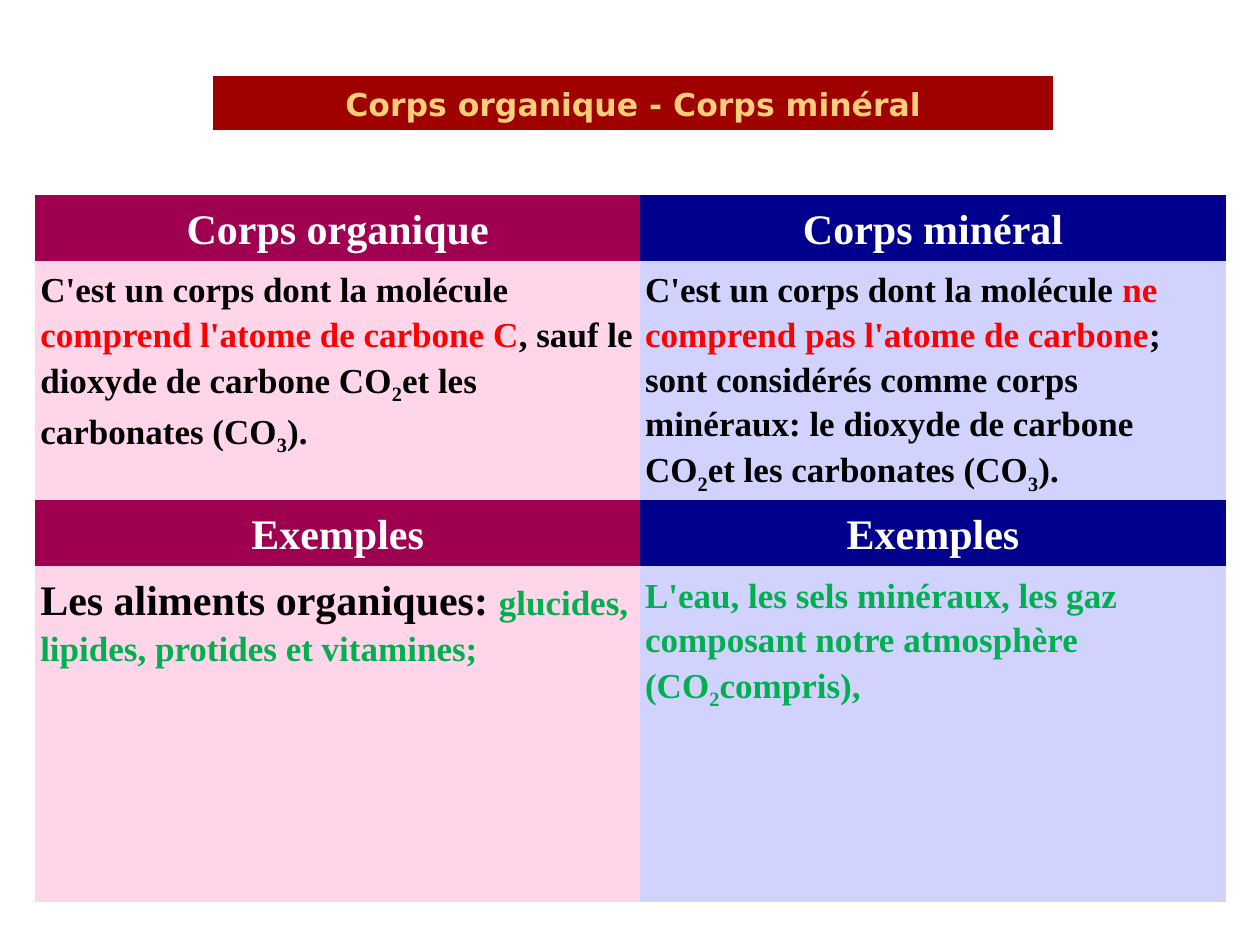
from dataclasses import dataclass

from pptx import Presentation
from pptx.dml.color import RGBColor
from pptx.enum.text import MSO_ANCHOR, PP_ALIGN
from pptx.oxml.ns import qn
from pptx.slide import Slide
from pptx.util import Inches, Pt


@dataclass(frozen=True)
class Theme:
    title_font: str = "DejaVu Sans"
    body_font: str = "Times New Roman"
    title_size: int = 18
    heading_size: int = 24
    body_size: int = 20
    line_spacing: float = 1.15
    title_fill: str = "9F0000"
    title_text: str = "FBCE7B"
    organic_dark: str = "9F0050"
    organic_light: str = "FFD5EA"
    mineral_dark: str = "00008C"
    mineral_light: str = "D2D2FF"
    white: str = "FFFFFF"
    black: str = "000000"
    red: str = "FF0000"
    green: str = "00B050"


THEME = Theme()
NO_STYLE_NO_GRID = "{2D5ABB26-0587-4C30-8999-92F81FD0307C}"


@dataclass(frozen=True)
class Span:
    text: str
    color: str = THEME.black
    size: int = THEME.body_size
    font: str = THEME.body_font
    subscript: bool = False


@dataclass(frozen=True)
class CellContent:
    spans: list[Span]
    fill: str
    centered: bool = False
    anchor: MSO_ANCHOR = MSO_ANCHOR.TOP
    margin: float = 0.04


def heading(text: str, fill: str) -> CellContent:
    return CellContent([Span(text, THEME.white, THEME.heading_size)], fill, centered=True)


def formula(before: str, digit: str, after: str, color: str = THEME.black) -> list[Span]:
    """Spans around one subscript digit."""
    return [Span(before, color), Span(digit, color, subscript=True), Span(after, color)]


def definition(start: str, highlight: str, rest: str, fill: str) -> CellContent:
    """Definition with a red phrase, ending with the two carbon exceptions."""
    spans = [Span(start), Span(highlight, THEME.red)]
    spans += formula(rest + "dioxyde de carbone CO", "2", "et les carbonates (CO")
    spans += [Span("3", subscript=True), Span(").")]
    return CellContent(spans, fill)


def fill_cell(cell, content: CellContent) -> None:
    cell.fill.solid()
    cell.fill.fore_color.rgb = RGBColor.from_string(content.fill)
    cell.vertical_anchor = content.anchor
    margin = Inches(content.margin)
    cell.margin_left = cell.margin_right = margin
    cell.margin_top = cell.margin_bottom = margin
    para = cell.text_frame.paragraphs[0]
    para.alignment = PP_ALIGN.CENTER if content.centered else PP_ALIGN.LEFT
    para.line_spacing = THEME.line_spacing
    for span in content.spans:
        run = para.add_run()
        run.text = span.text
        run.font.name = span.font
        run.font.size = Pt(span.size)
        run.font.bold = True
        run.font.color.rgb = RGBColor.from_string(span.color)
        if span.subscript:
            run.font._element.set("baseline", "-25000")


def add_grid(page: Slide, left: float, top: float, widths: list[float],
             heights: list[float], rows: list[list[CellContent]]) -> None:
    """Add a borderless table."""
    frame = page.shapes.add_table(len(heights), len(widths), Inches(left), Inches(top),
                                  Inches(sum(widths)), Inches(sum(heights)))
    table = frame.table
    table.first_row = table.horz_banding = False
    table._tbl.tblPr.find(qn("a:tableStyleId")).text = NO_STYLE_NO_GRID
    for column, width in zip(table.columns, widths):
        column.width = Inches(width)
    for row, height, contents in zip(table.rows, heights, rows):
        row.height = Inches(height)
        for cell, content in zip(row.cells, contents):
            fill_cell(cell, content)


def main() -> None:
    deck = Presentation()
    deck.slide_width, deck.slide_height = Inches(10), Inches(7.5)
    page = deck.slides.add_slide(deck.slide_layouts[6])

    comparison = [
        [heading("Corps organique", THEME.organic_dark),
         heading("Corps minéral", THEME.mineral_dark)],
        [definition("C'est un corps dont la molécule ", "comprend l'atome de carbone C",
                    ", sauf le ", THEME.organic_light),
         definition("C'est un corps dont la molécule ", "ne comprend pas l'atome de carbone",
                    "; sont considérés comme corps minéraux: le ", THEME.mineral_light)],
        [heading("Exemples", THEME.organic_dark),
         heading("Exemples", THEME.mineral_dark)],
        [CellContent([Span("Les aliments organiques: ", size=THEME.heading_size),
                      Span("glucides, lipides, protides et vitamines;", THEME.green)],
                     THEME.organic_light),
         CellContent(formula("L'eau, les sels minéraux, les gaz composant notre atmosphère (CO",
                             "2", "compris),", THEME.green),
                     THEME.mineral_light)],
    ]
    add_grid(page, 0.28, 1.55, [4.8, 4.65], [0.52, 1.72, 0.52, 2.67], comparison)

    title = CellContent(
        [Span("Corps organique - Corps minéral", THEME.title_text,
              THEME.title_size, THEME.title_font)],
        THEME.title_fill, centered=True, anchor=MSO_ANCHOR.MIDDLE, margin=0.05)
    add_grid(page, 1.69, 0.6, [6.67], [0.43], [[title]])

    deck.save("out.pptx")


if __name__ == "__main__":
    main()
